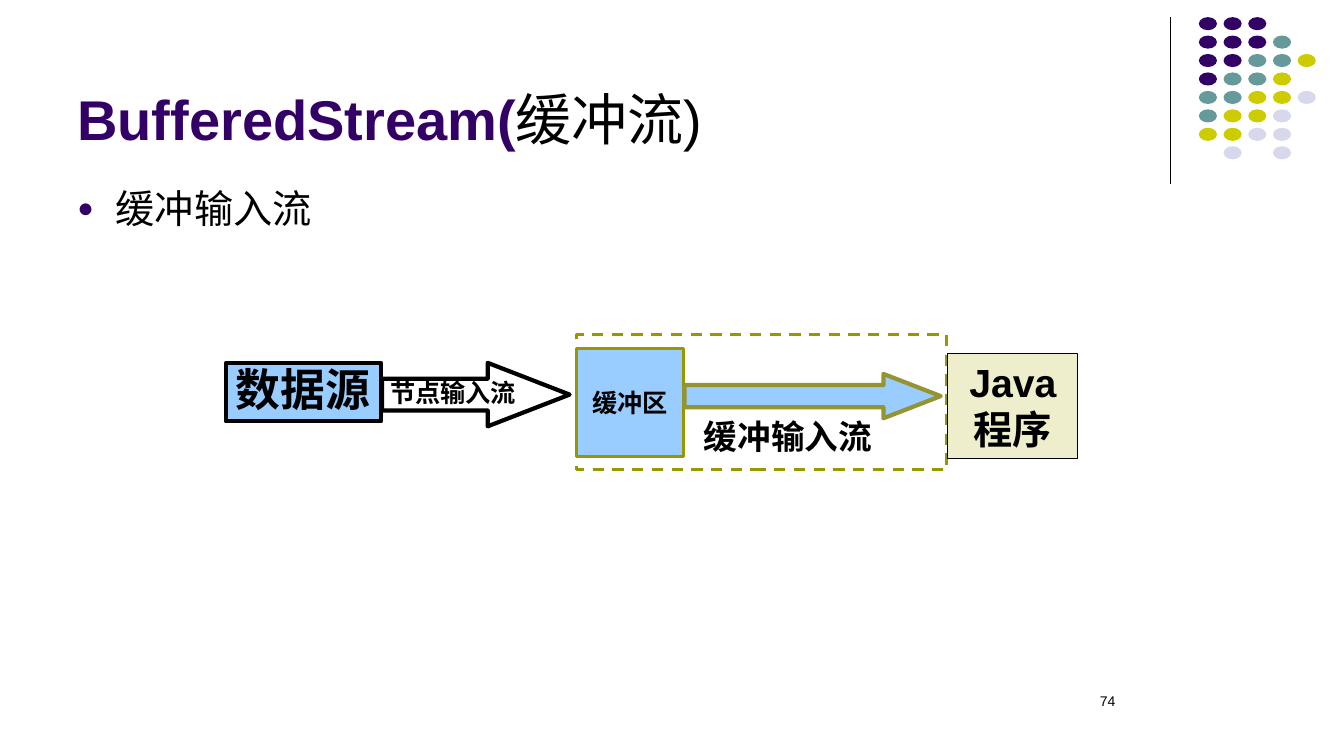
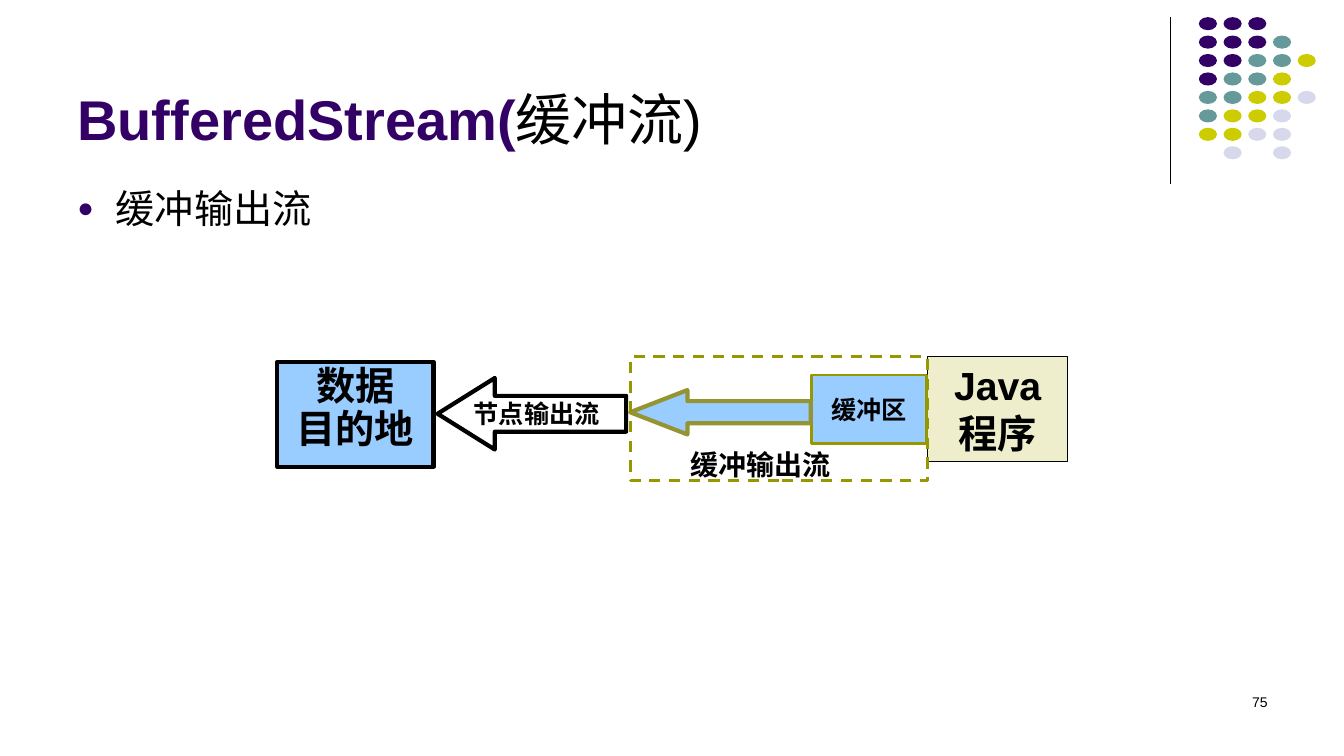
from lxml import etree
from pptx import Presentation, util as u
from pptx.dml.color import RGBColor
from pptx.enum import dml, shapes, text
from pptx.oxml.ns import qn

PURPLE = RGBColor(0x33, 0x00, 0x66)
TEAL = RGBColor(0x66, 0x99, 0x99)
YELLOW = RGBColor(0xCC, 0xCC, 0x00)
LILAC = RGBColor(0xD8, 0xD8, 0xEC)
BLACK = RGBColor(0x00, 0x00, 0x00)
WHITE = RGBColor(0xFF, 0xFF, 0xFF)
BLUE = RGBColor(0x99, 0xCC, 0xFF)
CREAM = RGBColor(0xEE, 0xEE, 0xCC)
OLIVE = RGBColor(0x97, 0x97, 0x00)
DARK_OLIVE = RGBColor(0x94, 0x94, 0x32)
SANS, SERIF = "Arial", "Times New Roman"

RECTANGLE = shapes.MSO_SHAPE.RECTANGLE
RIGHT = shapes.MSO_SHAPE.RIGHT_ARROW
LEFT = shapes.MSO_SHAPE.LEFT_ARROW
START, CENTER, END = text.PP_ALIGN.LEFT, text.PP_ALIGN.CENTER, text.PP_ALIGN.RIGHT
TOP, MIDDLE, BOTTOM = text.MSO_ANCHOR.TOP, text.MSO_ANCHOR.MIDDLE, text.MSO_ANCHOR.BOTTOM

TITLE = [("BufferedStream(", {"bold": True, "color": PURPLE}), ("缓冲流)", {})]

# One letter per dot, one string per row
DOT_ROWS = ["PPP", "PPPT", "PPTTY", "PTTY", "TTYYL", "TYYL", "YYLL", " L L"]
DOT_COLORS = {"P": PURPLE, "T": TEAL, "Y": YELLOW, "L": LILAC}
DOT_LEFT, DOT_TOP = 11.89, 0.17
DOT_COLUMN, DOT_ROW = 0.245, 0.183
DOT_WIDTH, DOT_HEIGHT = 0.18, 0.13

# Looks of the diagram parts: shape options, then text options
STYLES = {
    "store": ({"fill": BLUE, "line": BLACK, "weight": 3},
              {"bold": True, "font": SERIF, "line_spacing": 0.9}),
    "node arrow": ({"line": BLACK, "weight": 3}, {}),
    "node label": ({}, {"size": 18, "bold": True, "font": SERIF,
                        "line_spacing": 0.9, "wrap": False}),
    "stream label": ({"fill": WHITE}, {"bold": True, "font": SERIF, "align": CENTER}),
    "program": ({"fill": CREAM, "line": BLACK, "weight": 0.75},
                {"size": 28, "bold": True, "align": CENTER}),
    "buffer": ({"fill": BLUE, "line": OLIVE, "weight": 2},
               {"size": 18, "bold": True, "align": CENTER, "anchor": MIDDLE}),
    "stream arrow": ({"fill": BLUE, "line": DARK_OLIVE, "weight": 3}, {}),
    "frame": ({"line": OLIVE, "weight": 2, "dashed": True}, {}),
}

# Each part: style, (left, top, width, height), lines of text, own options
SLIDES = [
    {"bullet": "缓冲输入流", "number": "74", "number_box": (8.83, 6.82, 2.33, 0.5),
     "arrow": RIGHT, "parts": [
         ("frame", (5.72, 3.32, 3.67, 1.34), [], {}),
         ("store", (2.24, 3.6, 1.54, 0.58), ["数据源"], {"size": 32, "wrap": False}),
         ("node arrow", (3.79, 3.6, 1.86, 0.63), [], {"head": 1.29}),
         ("node label", (3.77, 3.73, 1.52, 0.37), ["节点输入流"], {}),
         ("stream label", (6.79, 4.08, 2.05, 0.5), ["缓冲输入流"], {"size": 24}),
         ("program", (9.4, 3.51, 1.29, 1.04), ["Java程序"], {}),
         ("buffer", (5.72, 3.46, 1.06, 1.07), ["缓冲区"], {}),
         ("stream arrow", (6.79, 3.71, 2.54, 0.44), [], {"head": 1.29}),
     ]},
    {"bullet": "缓冲输出流", "number": "75", "number_box": (9.56, 6.83, 3.11, 0.5),
     "arrow": LEFT, "parts": [
         ("store", (2.75, 3.59, 1.55, 1.04), ["数据", "目的地"],
          {"size": 28, "align": CENTER}),
         ("node arrow", (4.34, 3.75, 1.87, 0.71), [], {"head": 0.8}),
         ("node label", (4.6, 3.94, 1.52, 0.37), ["节点输出流"], {}),
         ("stream label", (6.7, 4.39, 1.69, 0.44), ["缓冲输出流"], {"size": 20}),
         ("program", (9.2, 3.54, 1.39, 1.04), ["Java程序"], {}),
         ("buffer", (8.05, 3.72, 1.14, 0.68), ["缓冲区"], {}),
         ("stream arrow", (6.25, 3.87, 1.79, 0.44), [], {"head": 1.29}),
         ("frame", (6.25, 3.54, 2.95, 1.23), [], {}),
     ]},
]


def inches(box):
    return [u.Inches(length) for length in box]


def add_shape(slide, kind, box, fill=None, line=None, weight=1, dashed=False):
    shape = slide.shapes.add_shape(kind, *inches(box))
    shape.shadow.inherit = False
    if fill is None:
        shape.fill.background()
    else:
        shape.fill.solid()
        shape.fill.fore_color.rgb = fill
    if line is None:
        shape.line.fill.background()
    else:
        shape.line.color.rgb = line
        shape.line.width = u.Pt(weight)
        if dashed:
            shape.line.dash_style = dml.MSO_LINE.DASH
    return shape


def write(shape, lines, size=18, font=SANS, color=BLACK, bold=False, align=START,
          anchor=TOP, wrap=True, line_spacing=None):
    """Write lines; each is a string or a list of (text, {bold, color}) runs."""
    frame = shape.text_frame
    frame.word_wrap = wrap
    frame.vertical_anchor = anchor
    for index, line in enumerate(lines):
        paragraph = frame.add_paragraph() if index else frame.paragraphs[0]
        paragraph.alignment = align
        paragraph.line_spacing = line_spacing
        for words, own in [(line, {})] if isinstance(line, str) else line:
            run = paragraph.add_run()
            run.text = words
            run.font.size = u.Pt(size)
            run.font.name = font
            run.font.bold = own.get("bold", bold)
            run.font.color.rgb = own.get("color", color)


def add_text(slide, box, lines, **text_format):
    shape = slide.shapes.add_textbox(*inches(box))
    write(shape, lines, **text_format)
    return shape


def add_bullet(paragraph, color, indent=0.38, percent=70, character="●"):
    properties = paragraph._p.get_or_add_pPr()
    properties.set("marL", str(u.Inches(indent)))
    properties.set("indent", str(-u.Inches(indent)))
    bullet_color = etree.SubElement(properties, qn("a:buClr"))
    etree.SubElement(bullet_color, qn("a:srgbClr"), val=str(color))
    etree.SubElement(properties, qn("a:buSzPct"), val=str(percent * 1000))
    etree.SubElement(properties, qn("a:buFont"), typeface=SANS)
    etree.SubElement(properties, qn("a:buChar"), char=character)


def add_corner_decoration(slide):
    x, top, bottom = inches((11.61, 0.17, 1.83))
    rule = slide.shapes.add_connector(shapes.MSO_CONNECTOR.STRAIGHT, x, top, x, bottom)
    rule.line.color.rgb = BLACK
    rule.line.width = u.Pt(0.75)
    etree.SubElement(rule._element.spPr, qn("a:effectLst"))
    for row, letters in enumerate(DOT_ROWS):
        for column, letter in enumerate(letters):
            if letter in DOT_COLORS:
                box = (DOT_LEFT + column * DOT_COLUMN, DOT_TOP + row * DOT_ROW,
                       DOT_WIDTH, DOT_HEIGHT)
                add_shape(slide, shapes.MSO_SHAPE.OVAL, box, fill=DOT_COLORS[letter])


def add_part(slide, arrow, style, box, lines, own):
    shape_format, text_format = STYLES[style]
    is_arrow = "head" in own
    shape = add_shape(slide, arrow if is_arrow else RECTANGLE, box, **shape_format)
    if is_arrow:
        shape.adjustments[0] = 0.5
        shape.adjustments[1] = own["head"]
    elif lines:
        write(shape, lines, **{**text_format, **own})


def build_slide(presentation, content):
    slide = presentation.slides.add_slide(presentation.slide_layouts[6])
    add_corner_decoration(slide)
    add_text(slide, (0.67, 0.13, 11, 1.42), [TITLE], size=40, anchor=BOTTOM)
    body = add_text(slide, (0.67, 1.78, 12, 4.92), [content["bullet"]],
                    size=28, font=SERIF)
    add_bullet(body.text_frame.paragraphs[0], PURPLE)
    add_text(slide, content["number_box"], [content["number"]], size=10, align=END)
    for part in content["parts"]:
        add_part(slide, content["arrow"], *part)


def main():
    presentation = Presentation()
    presentation.slide_width = u.Inches(13.33)
    presentation.slide_height = u.Inches(7.5)
    for content in SLIDES:
        build_slide(presentation, content)
    presentation.save("out.pptx")


if __name__ == "__main__":
    main()
